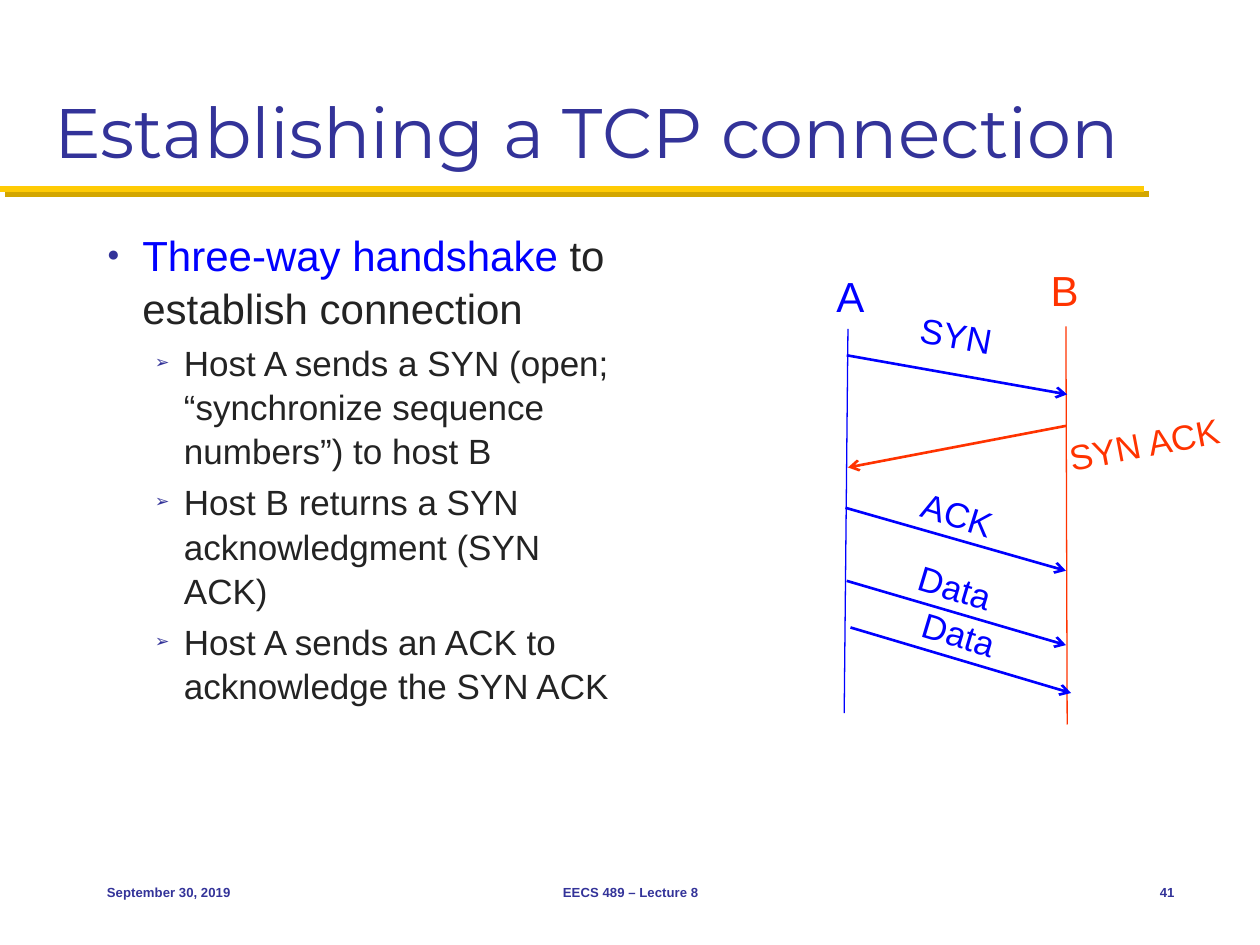
import pptx
import pptx.util
from lxml import etree
from pptx.dml.color import RGBColor
from pptx.enum.shapes import MSO_CONNECTOR
from pptx.enum.text import MSO_ANCHOR, MSO_AUTO_SIZE, PP_ALIGN
from pptx.oxml.ns import qn
from pptx.util import Inches, Pt

NAVY = RGBColor(0x33, 0x33, 0x99)
BLUE = RGBColor(0x00, 0x00, 0xFF)
RED = RGBColor(0xFF, 0x33, 0x00)
DARK = RGBColor(0x23, 0x23, 0x23)
GOLD = RGBColor(0xFF, 0xCB, 0x05)
GOLD_SHADOW = RGBColor(0xD3, 0xA6, 0x00)

TITLE = "Establishing a TCP connection"
# level, runs
BULLETS = [
    (0, [("Three-way handshake", BLUE), (" to establish connection", DARK)]),
    (1, [("Host A sends a SYN (open; “synchronize sequence numbers”) to host B", DARK)]),
    (1, [("Host B returns a SYN acknowledgment (SYN ACK)", DARK)]),
    (1, [("Host A sends an ACK to acknowledge the SYN ACK", DARK)]),
]
# bullet, size, left margin, hanging indent
LEVELS = [("●", 24, 0.28, 0.28), ("➢", 20, 0.61, 0.23)]

# name, colour, label box, line start, line end
HOSTS = [
    ("B", RED, (8.24, 2.05, 0.42, 0.5), (8.46, 2.59), (8.47, 5.75)),
    ("A", BLUE, (6.53, 2.1, 0.44, 0.5), (6.73, 2.61), (6.7, 5.66)),
]
# label, colour, start, end, label centre, label rotation
MESSAGES = [
    ("SYN", BLUE, (6.72, 2.82), (8.47, 3.13), (7.59, 2.66), 10.1),
    ("SYN ACK", RED, (8.46, 3.38), (6.73, 3.71), (9.08, 3.52), -10.9),
    ("ACK", BLUE, (6.71, 4.03), (8.46, 4.53), (7.6, 4.08), 17.4),
    ("Data", BLUE, (6.72, 4.61), (8.46, 5.12), (7.58, 4.66), 16.7),
    ("Data", BLUE, (6.75, 4.98), (8.5, 5.5), (7.61, 5.03), 16.7),
]
LABEL_W, LABEL_H = 1.43, 0.44
FOOTERS = [
    ("September 30, 2019", 0.75, 2.08, PP_ALIGN.LEFT),
    ("EECS 489 – Lecture 8", 3.42, 3.17, PP_ALIGN.CENTER),
    ("41", 8.75, 0.67, PP_ALIGN.RIGHT),
]


def add_run(p, text, size, color, font="Arial", bold=False):
    r = p.add_run()
    r.text = text
    r.font.name, r.font.size, r.font.bold = font, Pt(size), bold
    r.font.color.rgb = color


def add_label(s, text, box, size, color, align=PP_ALIGN.CENTER, rotation=0, bold=False):
    sp = s.shapes.add_textbox(*map(Inches, box))
    sp.rotation = rotation
    tf = sp.text_frame
    tf.word_wrap = True
    tf.vertical_anchor = MSO_ANCHOR.MIDDLE
    tf.margin_left = tf.margin_right = Inches(0.1 if bold else 0)
    p = tf.paragraphs[0]
    p.alignment = align
    add_run(p, text, size, color, bold=bold)


def add_line(s, start, end, color, width, arrow=False):
    """Add a straight line and return its effect list."""
    sp = s.shapes.add_connector(MSO_CONNECTOR.STRAIGHT, *map(Inches, start + end))
    sp.line.color.rgb = color
    sp.line.width = Pt(width)
    if arrow:
        etree.SubElement(sp.line._get_or_add_ln(), qn("a:tailEnd"), type="arrow")
    return etree.SubElement(sp._element.spPr, qn("a:effectLst"))


def set_bullet(p, char, left, hanging):
    pPr = p._p.get_or_add_pPr()
    pPr.set("marL", str(Inches(left)))
    pPr.set("indent", str(-Inches(hanging)))
    color = etree.SubElement(pPr, qn("a:buClr"))
    etree.SubElement(color, qn("a:srgbClr"), val=str(NAVY))
    etree.SubElement(pPr, qn("a:buSzPct"), val="50000")
    etree.SubElement(pPr, qn("a:buFont"), typeface="Arial")
    etree.SubElement(pPr, qn("a:buChar"), char=char)


def place(sp, left, top, width, height, anchor):
    sp.left, sp.top, sp.width, sp.height = map(Inches, (left, top, width, height))
    tf = sp.text_frame
    tf.word_wrap = True
    tf.auto_size = MSO_AUTO_SIZE.NONE
    tf.vertical_anchor = anchor
    return tf


def main():
    prs = pptx.Presentation()
    prs.slide_width, prs.slide_height = Inches(10), Inches(7.5)
    s = prs.slides.add_slide(prs.slide_layouts[1])

    effects = add_line(s, (0, 1.5), (9.08, 1.5), GOLD, 3.5)
    shadow = etree.SubElement(effects, qn("a:outerShdw"), dist=str(Pt(4.2)),
                              dir=str(45 * 60000), algn="ctr", rotWithShape="0")
    etree.SubElement(shadow, qn("a:srgbClr"), val=str(GOLD_SHADOW))

    tf = place(s.shapes.title, 0.33, 0.17, 9.33, 1.25, MSO_ANCHOR.BOTTOM)
    p = tf.paragraphs[0]
    p.alignment = PP_ALIGN.LEFT
    add_run(p, TITLE, 40, NAVY, "Montserrat")

    tf = place(s.placeholders[1], 0.75, 1.75, 4.25, 4.83, MSO_ANCHOR.TOP)
    for i, (level, runs) in enumerate(BULLETS):
        char, size, left, hanging = LEVELS[level]
        p = tf.add_paragraph() if i else tf.paragraphs[0]
        p.level = level
        p.line_spacing = 1.05
        p.space_before = Pt(0.2 * size if i else 0)
        set_bullet(p, char, left, hanging)
        for text, color in runs:
            add_run(p, text, size, color)

    for name, color, box, start, end in HOSTS:
        add_line(s, start, end, color, 0.75)
        add_label(s, name, box, 24, color)

    for text, color, start, end, (x, y), rotation in MESSAGES:
        add_line(s, start, end, color, 1.5, arrow=True)
        box = (x - LABEL_W / 2, y - LABEL_H / 2, LABEL_W, LABEL_H)
        add_label(s, text, box, 20, color, rotation=rotation)

    for text, left, width, align in FOOTERS:
        add_label(s, text, (left, 6.83, width, 0.5), 7.5, NAVY, align, bold=True)

    prs.save("out.pptx")


if __name__ == "__main__":
    main()
